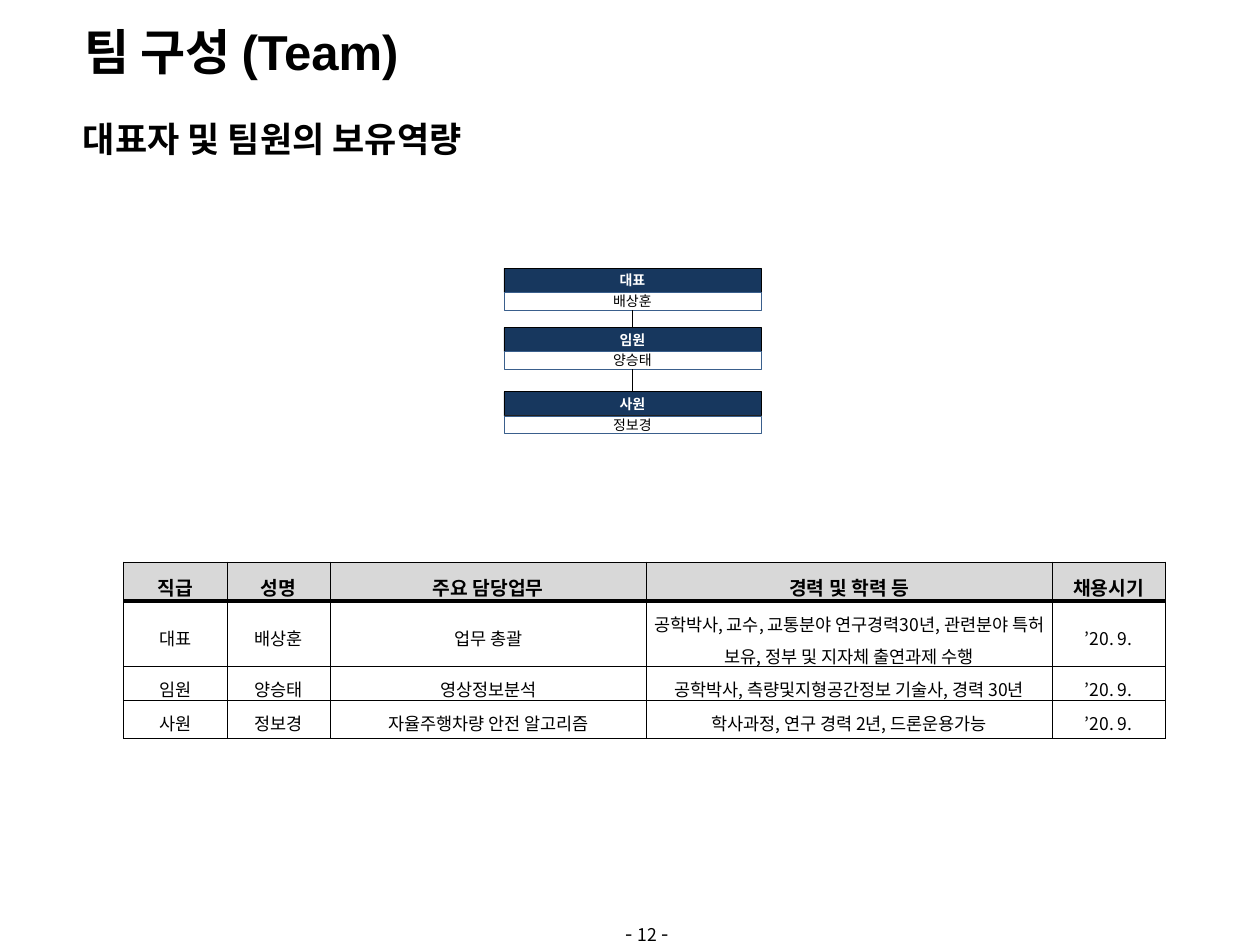
from dataclasses import dataclass

from lxml.etree import SubElement
from pptx import Presentation
from pptx.dml.color import RGBColor
from pptx.enum.shapes import MSO_CONNECTOR, MSO_SHAPE
from pptx.enum.text import MSO_ANCHOR, PP_ALIGN
from pptx.oxml.ns import qn
from pptx.util import Inches, Pt


@dataclass(frozen=True)
class Theme:
    """Colours, fonts and sizes of the deck."""
    black: str = "000000"
    white: str = "FFFFFF"
    navy: str = "17375E"
    blue: str = "3A5F8C"
    outline: str = "254061"
    grey: str = "D8D8D8"
    latin: str = "Arial"
    korean: str = "Noto Sans CJK KR"
    title: float = 28
    subtitle: float = 20
    table_head: float = 11
    table_body: float = 10
    chart: float = 8
    page: float = 12
    page_digits: float = 10
    hairline: float = 0.28
    head_rule: float = 2.55


class TeamSlide:
    """Draws the parts of one slide in one theme."""

    def __init__(self, slide, theme):
        self.slide = slide
        self.theme = theme

    def run(self, paragraph, text, size, color, bold=False, latin=None):
        """Add one styled run."""
        run = paragraph.add_run()
        run.text = text
        run.font.size = Pt(size)
        run.font.bold = bold
        run.font.color.rgb = RGBColor.from_string(color)
        run.font.name = latin or self.theme.korean
        SubElement(run.font._element, qn("a:ea"), typeface=self.theme.korean)
        return run

    def solid(self, parent, color, alpha=None):
        """Append a solid fill to a line element."""
        fill = SubElement(parent, qn("a:solidFill"))
        shade = SubElement(fill, qn("a:srgbClr"), val=color)
        if alpha:
            SubElement(shade, qn("a:alpha"), val=str(alpha * 1000))

    def heading(self, frame, text, size):
        """Write a bold heading with a faint outline."""
        frame.vertical_anchor = MSO_ANCHOR.TOP
        paragraph = frame.paragraphs[0]
        paragraph.alignment = PP_ALIGN.LEFT
        run = self.run(paragraph, text, size, self.theme.black, True, self.theme.latin)
        outline = run.font._element.makeelement(qn("a:ln"), {"w": str(Pt(0.25))})
        self.solid(outline, self.theme.outline, 15)
        run.font._element.insert(0, outline)
        return paragraph

    def title(self, text, left, top, width, height):
        """Place and fill the title placeholder."""
        title = self.slide.shapes.title
        title.left, title.top = Inches(left), Inches(top)
        title.width, title.height = Inches(width), Inches(height)
        paragraph = self.heading(title.text_frame, text, self.theme.title)
        indent = Inches(0.38)
        properties = paragraph._p.get_or_add_pPr()
        properties.set("marL", str(indent))
        properties.set("indent", str(-indent))

    def text_box(self, left, top, width, height, wrap=True):
        """Add an empty text box and return its frame."""
        box = self.slide.shapes.add_textbox(
            Inches(left), Inches(top), Inches(width), Inches(height))
        box.text_frame.word_wrap = wrap
        return box.text_frame

    def subtitle(self, text, *place):
        """Add the second heading."""
        self.heading(self.text_box(*place, wrap=False), text, self.theme.subtitle)

    def page_number(self, number, *place):
        """Add the page number between dashes."""
        paragraph = self.text_box(*place).paragraphs[0]
        paragraph.alignment = PP_ALIGN.CENTER
        theme = self.theme
        for text, size in (("- ", theme.page), (number, theme.page_digits), (" -", theme.page)):
            self.run(paragraph, text, size, theme.black)

    def box(self, text, top, height, fill, line, weight, color, bold=False):
        """Add one bar of the organisation chart."""
        bar = self.slide.shapes.add_shape(
            MSO_SHAPE.RECTANGLE, Inches(4), Inches(top), Inches(2.04), Inches(height))
        bar.shadow.inherit = False
        bar.fill.solid()
        bar.fill.fore_color.rgb = RGBColor.from_string(fill)
        bar.line.color.rgb = RGBColor.from_string(line)
        bar.line.width = Pt(weight)
        frame = bar.text_frame
        frame.margin_top = frame.margin_bottom = 0
        frame.vertical_anchor = MSO_ANCHOR.MIDDLE
        frame.paragraphs[0].alignment = PP_ALIGN.CENTER
        self.run(frame.paragraphs[0], text, self.theme.chart, color, bold)
        return bar

    def member(self, rank, name, top):
        """Add a rank bar with the name bar under it."""
        theme = self.theme
        rank_bar = self.box(rank, top, 0.19, theme.navy, theme.black, 0.5, theme.white, True)
        name_bar = self.box(name, top + 0.19, 0.14, theme.white, theme.blue, 0.25, theme.black)
        return rank_bar, name_bar

    def link(self, upper, lower):
        """Join the bottom of one bar to the top of the next."""
        link = self.slide.shapes.add_connector(MSO_CONNECTOR.STRAIGHT, 0, 0, 0, 0)
        link.begin_connect(upper, 2)
        link.end_connect(lower, 0)
        link.line.color.rgb = RGBColor.from_string(self.theme.black)
        link.line.width = Pt(0.75)
        SubElement(link._element.spPr, qn("a:effectLst"))

    def cell(self, cell, text, is_head, under_head):
        """Fill, border and write one table cell."""
        theme = self.theme
        cell.margin_left = cell.margin_right = Inches(0.02)
        cell.margin_top = cell.margin_bottom = Inches(0.02)
        cell.vertical_anchor = MSO_ANCHOR.MIDDLE
        properties = cell._tc.get_or_add_tcPr()
        heavy = {"lnT": under_head, "lnB": is_head}
        for side in ("lnL", "lnR", "lnT", "lnB"):
            weight = theme.head_rule if heavy.get(side) else theme.hairline
            border = SubElement(properties, qn(f"a:{side}"), w=str(Pt(weight)))
            self.solid(border, theme.black)
        if is_head:
            cell.fill.solid()
            cell.fill.fore_color.rgb = RGBColor.from_string(theme.grey)
        else:
            cell.fill.background()
        paragraph = cell.text_frame.paragraphs[0]
        paragraph.alignment = PP_ALIGN.CENTER
        paragraph.line_spacing = 1.3
        size = theme.table_head if is_head else theme.table_body
        self.run(paragraph, text, size, theme.black, is_head)

    def table(self, rows, left, top, widths, heights):
        """Add the table of team members."""
        table = self.slide.shapes.add_table(
            len(rows), len(widths), Inches(left), Inches(top),
            Inches(sum(widths)), Inches(sum(heights))).table
        table.first_row = table.horz_banding = False
        for column, width in zip(table.columns, widths):
            column.width = Inches(width)
        for index, (row, height, texts) in enumerate(zip(table.rows, heights, rows)):
            row.height = Inches(height)
            for cell, text in zip(row.cells, texts):
                self.cell(cell, text, index == 0, index == 1)


def main():
    """Build and save the team slide."""
    deck = Presentation()
    deck.slide_width, deck.slide_height = Inches(10), Inches(7.5)
    team = TeamSlide(deck.slides.add_slide(deck.slide_layouts[5]), Theme())
    team.title("팀 구성 (Team)", 0.57, 0.12, 4.2, 0.57)
    team.subtitle("대표자 및 팀원의 보유역량", 0.56, 0.88, 3.58, 0.44)

    hired = "’20. 9."
    head = ("직급", "성명", "주요 담당업무", "경력 및 학력 등", "채용시기")
    members = [
        ("대표", "배상훈", "업무 총괄",
         "공학박사, 교수, 교통분야 연구경력30년, 관련분야 특허 보유, 정부 및 지자체 출연과제 수행", hired),
        ("임원", "양승태", "영상정보분석", "공학박사, 측량및지형공간정보 기술사, 경력 30년", hired),
        ("사원", "정보경", "자율주행차량 안전 알고리즘", "학사과정, 연구 경력 2년, 드론운용가능", hired),
    ]
    team.table([head, *members], 0.98, 4.46,
               (0.82, 0.82, 2.51, 3.22, 0.9), (0.31, 0.52, 0.27, 0.3))

    bars = [team.member(rank, name, top)
            for (rank, name, *_), top in zip(members, (2.13, 2.6, 3.11))]
    for (_, upper_name), (lower_rank, _) in zip(bars, bars[1:]):
        team.link(upper_name, lower_rank)

    team.page_number("12", 4.69, 7.26, 0.9, 0.3)
    deck.save("out.pptx")


if __name__ == "__main__":
    main()
